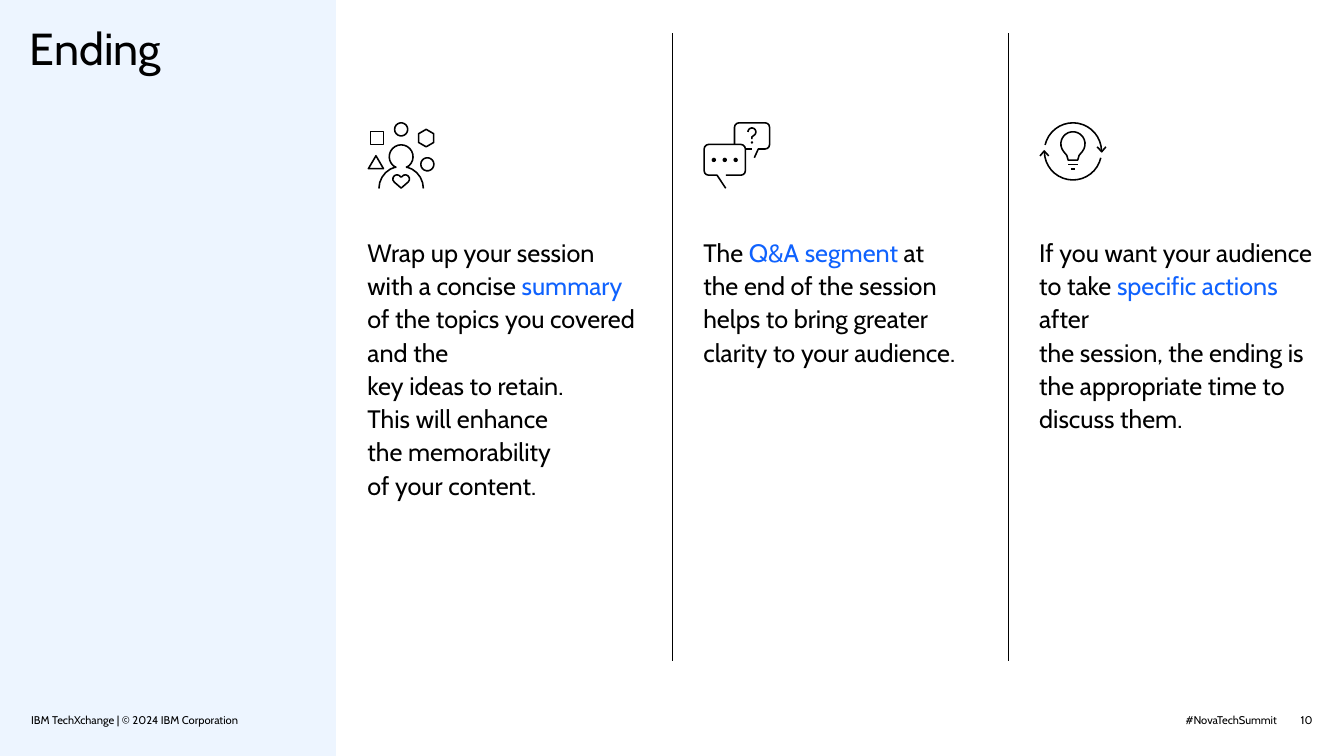
import math
from dataclasses import dataclass

import lxml.etree
import pptx
import pptx.dml.color
import pptx.enum.shapes
import pptx.enum.text
import pptx.oxml.ns
import pptx.util

Cm = pptx.util.Cm
Align = pptx.enum.text.PP_ALIGN
Anchor = pptx.enum.text.MSO_ANCHOR


@dataclass(frozen=True)
class Theme:
    font: str = "Cabin"
    ink: str = "000000"
    accent: str = "0F62FE"
    panel: str = "EDF5FF"
    title_size: int = 64
    body_size: int = 36
    footer_size: int = 16
    rule_width: float = 0.25
    icon_width: float = 2.25


def arc(x, y, radius, start, end, step=15):
    count = max(1, round((end - start) / step))
    angles = [math.radians(start + (end - start) * i / count) for i in range(count + 1)]
    return [(x + radius * math.cos(a), y + radius * math.sin(a)) for a in angles]


def circle(x, y, radius, step=20):
    return arc(x, y, radius, 0, 360, step)


def corner(x, y, start):
    return arc(x, y, 0.23, start, start + 90, 30)


class SlideBuilder:
    def __init__(self, theme, slide):
        self.theme = theme
        self.slide = slide

    def color(self, value):
        return pptx.dml.color.RGBColor.from_string(value)

    def text(self, left, top, width, height, parts, size, align=Align.LEFT,
             anchor=Anchor.TOP, spacing=1.0, wrap=True):
        box = self.slide.shapes.add_textbox(Cm(left), Cm(top), Cm(width), Cm(height))
        frame = box.text_frame
        frame.margin_left = frame.margin_right = frame.margin_top = frame.margin_bottom = 0
        frame.word_wrap = wrap
        frame.vertical_anchor = anchor
        para = frame.paragraphs[0]
        para.alignment = align
        para.line_spacing = spacing
        for words, color in parts:
            for index, line in enumerate(words.split("\n")):
                if index:
                    para.add_line_break()
                if line:
                    span = para.add_run()
                    span.text = line
                    span.font.name = self.theme.font
                    span.font.size = pptx.util.Pt(size)
                    span.font.color.rgb = self.color(color)

    def panel(self, left, top, width, height):
        shape = self.slide.shapes.add_shape(
            pptx.enum.shapes.MSO_SHAPE.RECTANGLE,
            Cm(left), Cm(top), Cm(width), Cm(height))
        shape.shadow.inherit = False
        shape.fill.solid()
        shape.fill.fore_color.rgb = self.color(self.theme.panel)
        shape.line.fill.background()

    def rule(self, x, top, bottom):
        line = self.slide.shapes.add_connector(
            pptx.enum.shapes.MSO_CONNECTOR.STRAIGHT, Cm(x), Cm(top), Cm(x), Cm(bottom))
        line.line.color.rgb = self.color(self.theme.ink)
        line.line.width = pptx.util.Pt(self.theme.rule_width)
        lxml.etree.SubElement(line._element.spPr, pptx.oxml.ns.qn("a:effectLst"))

    def drawing(self, left, top, contours, filled=False):
        builder = None
        for contour in contours:
            places = [(Cm(left + x), Cm(top + y)) for x, y in contour]
            if builder is None:
                builder = self.slide.shapes.build_freeform(*places[0])
            else:
                builder.move_to(*places[0])
            builder.add_line_segments(places[1:], close=contour[0] == contour[-1])
        shape = builder.convert_to_shape()
        shape.shadow.inherit = False
        if filled:
            shape.fill.solid()
            shape.fill.fore_color.rgb = self.color(self.theme.ink)
            shape.line.fill.background()
        else:
            shape.fill.background()
            shape.line.color.rgb = self.color(self.theme.ink)
            shape.line.width = pptx.util.Pt(self.theme.icon_width)


def draw_audience(page, left, top):
    square = [(0.16, 0.47), (0.82, 0.47), (0.82, 1.13), (0.16, 1.13), (0.16, 0.47)]
    triangle = [(0.43, 1.7), (0.81, 2.35), (0.05, 2.35), (0.43, 1.7)]
    hexagon = arc(2.96, 0.81, 0.44, -90, 270, 60)
    heart = ([(1.7, 3.33)] + arc(1.49, 2.87, 0.21, 135, 330, 30)
             + arc(1.91, 2.87, 0.21, 210, 405, 30) + [(1.7, 3.33)])
    person = (arc(1.7, 3.35, 1.12, 180, 256) + arc(1.7, 1.75, 0.6, 117, 423)
              + arc(1.7, 3.35, 1.12, 284, 360))
    page.drawing(left, top, [square, triangle, hexagon, heart, person,
                             circle(1.7, 0.37, 0.33), circle(3.02, 2.13, 0.33)])


def draw_questions(page, left, top):
    front = ([(1.13, 3.34), (0.69, 2.68)] + corner(0.27, 2.45, 90)
             + corner(0.27, 1.36, 180) + corner(1.89, 1.36, 270)
             + corner(1.89, 2.45, 0) + [(1.14, 2.68)])
    back = ([(1.57, 1.13)] + corner(1.8, 0.27, 180) + corner(3.11, 0.27, 270)
            + corner(3.11, 1.13, 0) + [(2.77, 1.36), (2.57, 1.8)])
    edge = [(2.12, 1.36), (2.46, 1.36)]
    mark = arc(2.45, 0.5, 0.2, 180, 420, 20) + [(2.45, 0.75), (2.45, 0.86)]
    page.drawing(left, top, [front, back, edge, mark])
    dots = [circle(x, 1.91, 0.11, 30) for x in (0.53, 1.08, 1.63)]
    page.drawing(left, top, dots + [circle(2.45, 1.03, 0.06, 30)], filled=True)


def draw_actions(page, left, top):
    page.drawing(left, top, [
        arc(1.7, 1.48, 1.44, 193, 359, 10),
        arc(1.7, 1.48, 1.44, 13, 179, 10),
        [(2.92, 1.25), (3.15, 1.5), (3.36, 1.25)],
        [(0.04, 1.71), (0.25, 1.46), (0.48, 1.71)]])
    bulb = ([(1.46, 1.92), (1.39, 1.68)] + arc(1.7, 1.1, 0.61, 140, 400)
            + [(2.01, 1.68), (1.94, 1.92), (1.46, 1.92)])
    page.drawing(left, top, [bulb, [(1.47, 2.15), (1.93, 2.15)],
                             [(1.6, 2.37), (1.8, 2.37)]])


def main():
    theme = Theme()
    deck = pptx.Presentation()
    deck.slide_width = Cm(67.74)
    deck.slide_height = Cm(38.1)
    page = SlideBuilder(theme, deck.slides.add_slide(deck.slide_layouts[6]))
    ink, accent = theme.ink, theme.accent
    column = 16.93

    page.panel(0, 0, column, 38.1)
    page.text(1.5, 1.05, 30.8, 7.95, [("Ending", ink)], theme.title_size)
    page.text(1.57, 35.56, 13.77, 1.07,
              [("IBM TechXchange | © 2024 IBM Corporation", ink)],
              theme.footer_size, anchor=Anchor.BOTTOM)
    page.text(59.23, 35.94, 5.13, 0.69, [("#NovaTechSummit", ink)],
              theme.footer_size, align=Align.RIGHT)
    page.text(65.4, 35.94, 0.76, 0.69, [("10", ink)], theme.footer_size,
              align=Align.RIGHT, anchor=Anchor.MIDDLE, wrap=False)

    columns = [
        (draw_audience, 13.44, [
            ("Wrap up your session with a concise ", ink), ("summary", accent),
            (" of the topics you covered and the \nkey ideas to retain. \n"
             "This will enhance \nthe memorability \nof your content.", ink)]),
        (draw_questions, 6.68, [
            ("The ", ink), ("Q&A segment ", accent),
            ("at \nthe end of the session helps to bring greater "
             "clarity to your audience.", ink)]),
        (draw_actions, 10.06, [
            ("If you want your audience to take ", ink), ("specific actions ", accent),
            ("after \nthe session, the ending is the appropriate time "
             "to discuss them.", ink)]),
    ]
    for number, (draw_icon, height, parts) in enumerate(columns, start=1):
        left = number * column + 1.59
        page.text(left, 11.8, 13.78, height, parts, theme.body_size, spacing=1.1)
        draw_icon(page, left, 6.15)
        if number > 1:
            page.rule(number * column + 0.01, 1.68, 33.32)

    deck.save("out.pptx")


if __name__ == "__main__":
    main()
